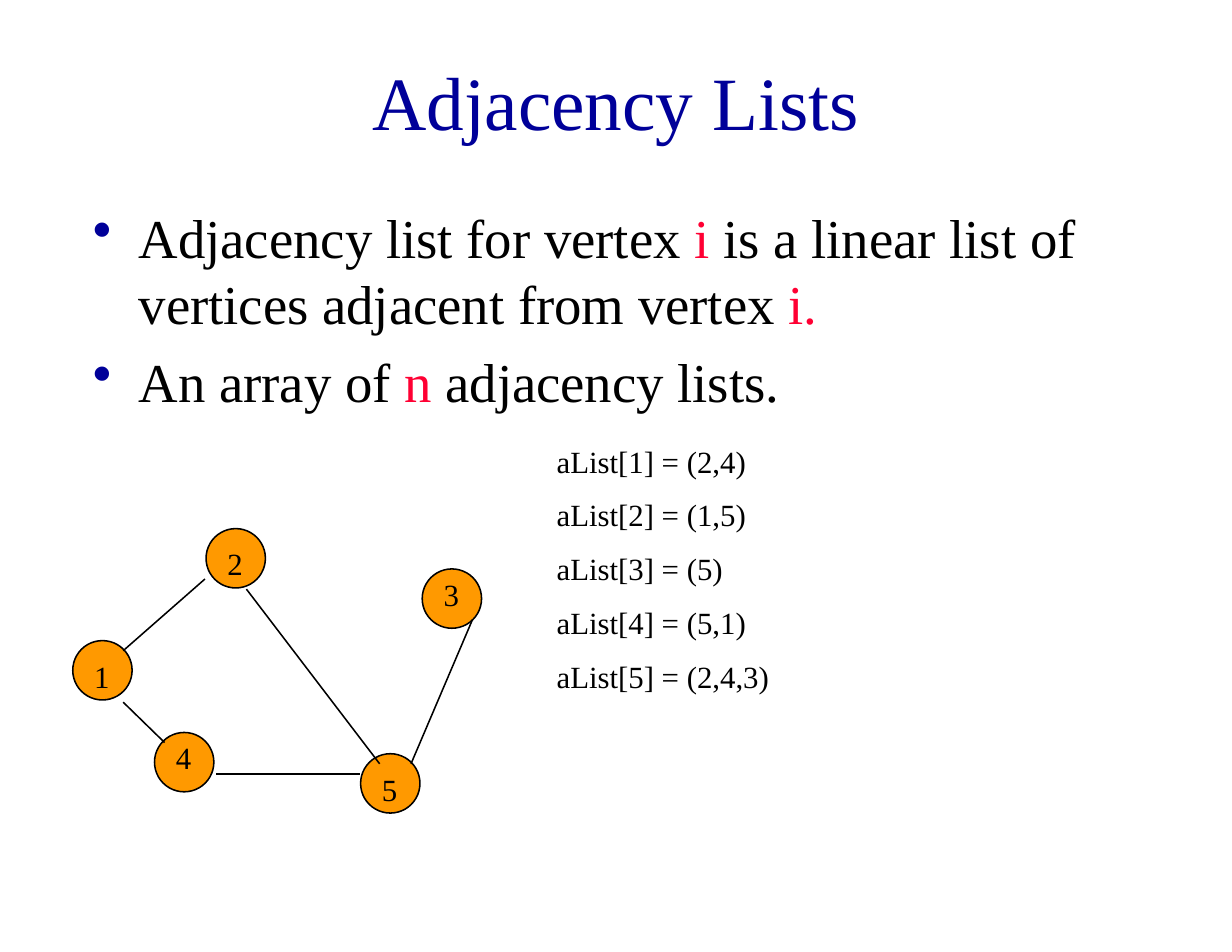
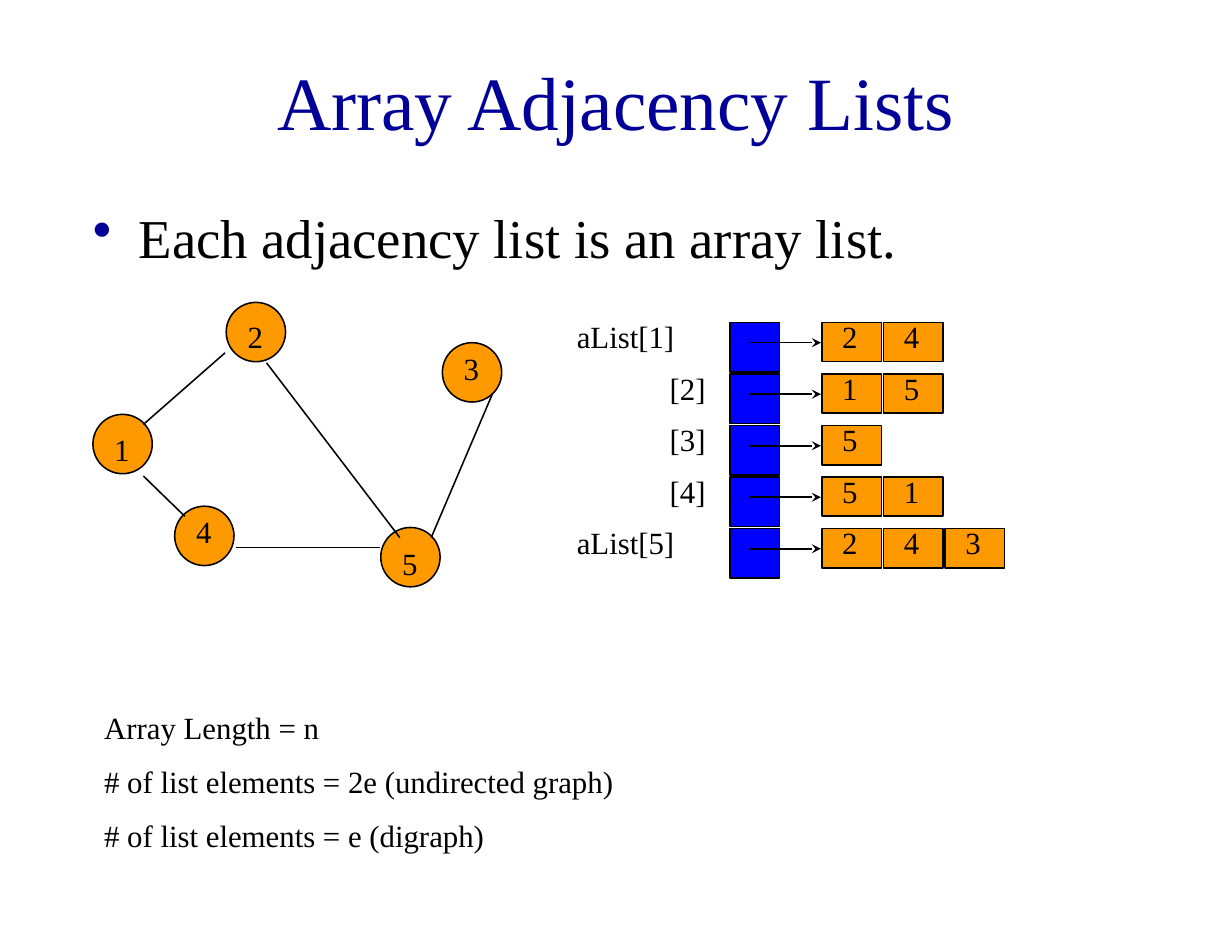
import pptx
import pptx.util
import pptx.dml.color
import pptx.enum.shapes
import pptx.enum.text
import pptx.oxml.ns
from lxml import etree

Inches, Pt = pptx.util.Inches, pptx.util.Pt
RGBColor = pptx.dml.color.RGBColor
SHAPE = pptx.enum.shapes.MSO_SHAPE
qn = pptx.oxml.ns.qn

NAVY = RGBColor(0x00, 0x00, 0x99)
BLACK = RGBColor(0x00, 0x00, 0x00)
RED = RGBColor(0xFF, 0x00, 0x33)
ORANGE = RGBColor(0xFF, 0x99, 0x00)
BLUE = RGBColor(0x00, 0x00, 0xFF)

FONT = "Times New Roman"
TITLE_PT, BULLET_PT, SMALL_PT = 48.4, 35.2, 19.8
TITLE_BOX = (0.82, 0.19, 9.35, 1.42)
BODY_BOX = (0.73, 1.77, 9.35, 0.64)
WIDE_INSET, NARROW_INSET = (0.11, 0.06), (0.1, 0.05)
HANGING = 0.41
LABEL_W, LABEL_H = 0.28, 0.44

# A paragraph is a list of (text, colour) runs.
DEFINITION = [
    [("Adjacency list for vertex", BLACK), (" i ", RED),
     ("is a linear list of vertices adjacent from vertex", BLACK), (" i.", RED)],
    [("An array of", BLACK), (" n ", RED), ("adjacency lists.", BLACK)],
]
ARRAY_LISTS = [[("Each adjacency list is an array list.", BLACK)]]
SIZES = ["Array Length = n",
         "# of list elements = 2e (undirected graph)",
         "# of list elements = e (digraph)"]
ADJACENT = {1: (2, 4), 2: (1, 5), 3: (5,), 4: (5, 1), 5: (2, 4, 3)}

# Graph geometry, relative to the graph's top left corner.
NODE_SIZE = 0.53
NODES = {  # number: (left, top, label drop)
    1: (0, 1.0, 0.09),
    2: (1.19, 0, 0.08),
    3: (3.12, 0.36, 0),
    4: (0.73, 1.82, 0),
    5: (2.57, 2.01, 0.09),
}
EDGES = [
    (1.18, 0.45, 0.45, 1.09),
    (1.55, 0.54, 2.74, 2.1),
    (0.45, 1.55, 0.82, 1.91),
    (3.57, 0.81, 3.02, 2.1),
    (1.28, 2.19, 2.56, 2.19),
]

# Array of lists
ARRAY_LEFT, ARRAY_TOP, SLOT_SIZE, ROW_PITCH = 6.52, 2.88, 0.44, 0.46
CELL_LEFT, CELL_W, CELL_H, CELL_PITCH = 7.34, 0.53, 0.35, 0.55
ARROW_FROM, ARROW_TO, ARROW_DROP = 6.69, 7.33, 0.18
LABEL_RISE = 0.1


def add_text(s, box, paragraphs, size=SMALL_PT, inset=WIDE_INSET,
             before=10.8, bullet=False, title=False):
    tf = s.shapes.add_textbox(*map(Inches, box)).text_frame
    dx, dy = map(Inches, inset)
    frame = {"word_wrap": True, "margin_left": dx, "margin_right": dx,
             "margin_top": dy, "margin_bottom": dy}
    if title:
        frame["vertical_anchor"] = pptx.enum.text.MSO_ANCHOR.MIDDLE
    for name, value in frame.items():
        setattr(tf, name, value)
    for i, runs in enumerate(paragraphs):
        p = tf.add_paragraph() if i else tf.paragraphs[0]
        if bullet:
            add_bullet(p)
        if title:
            p.alignment = pptx.enum.text.PP_ALIGN.CENTER
        if i:
            p.space_before = Pt(before)
        for text, color in runs:
            r = p.add_run()
            r.text = text
            r.font.name, r.font.size = FONT, Pt(size)
            r.font.color.rgb = color


def add_bullet(p):
    pPr = p._p.get_or_add_pPr()
    pPr.set("marL", str(Inches(HANGING)))
    pPr.set("indent", str(-Inches(HANGING)))
    color = etree.SubElement(pPr, qn("a:buClr"))
    etree.SubElement(color, qn("a:srgbClr"), val=str(NAVY))
    etree.SubElement(pPr, qn("a:buChar"), char="•")


def add_label(s, left, top, text, width=LABEL_W):
    add_text(s, (left, top, width, LABEL_H), [[(str(text), BLACK)]])


def add_lines(s, box, lines):
    add_text(s, box, [[(line, BLACK)] for line in lines])


def add_filled(s, kind, box, color):
    sp = s.shapes.add_shape(kind, *map(Inches, box))
    sp.shadow.inherit = False
    sp.fill.solid()
    sp.fill.fore_color.rgb = color
    sp.line.color.rgb = BLACK
    sp.line.width = Pt(1)


def add_line(s, ends, arrow=False):
    line = s.shapes.add_connector(
        pptx.enum.shapes.MSO_CONNECTOR.STRAIGHT, *map(Inches, ends))
    line.line.color.rgb = BLACK
    line.line.width = Pt(1)
    if arrow:
        etree.SubElement(line.line._get_or_add_ln(), qn("a:tailEnd"), type="stealth")
    etree.SubElement(line._element.spPr, qn("a:effectLst"))


def add_graph(s, left, top):
    for x, y, _ in NODES.values():
        add_filled(s, SHAPE.OVAL, (left + x, top + y, NODE_SIZE, NODE_SIZE), ORANGE)
    for x1, y1, x2, y2 in EDGES:
        add_line(s, (left + x1, top + y1, left + x2, top + y2))
    for number, (x, y, drop) in NODES.items():
        add_label(s, left + x + 0.08, top + y + drop, number)


def add_array(s):
    """Draw the array slots, each pointing at its row of list cells."""
    for i, (vertex, neighbours) in enumerate(ADJACENT.items()):
        top = ARRAY_TOP + i * ROW_PITCH
        label_top = top - LABEL_RISE
        add_filled(s, SHAPE.RECTANGLE, (ARRAY_LEFT, top, SLOT_SIZE, SLOT_SIZE), BLUE)
        if vertex in (1, len(ADJACENT)):
            add_label(s, 5.04, label_top, f"aList[{vertex}]", 1.65)
        else:
            add_label(s, 5.87, label_top, f"[{vertex}]", 0.73)
        for j, neighbour in enumerate(neighbours):
            left = CELL_LEFT + j * CELL_PITCH
            add_filled(s, SHAPE.RECTANGLE, (left, top, CELL_W, CELL_H), ORANGE)
            add_label(s, left + 0.07, label_top, neighbour)
        y = top + ARROW_DROP
        add_line(s, (ARROW_FROM, y, ARROW_TO, y), arrow=True)


def add_slide(prs, title, bullets):
    s = prs.slides.add_slide(prs.slide_layouts[6])
    add_text(s, TITLE_BOX, [[(title, NAVY)]], TITLE_PT, NARROW_INSET, title=True)
    add_text(s, BODY_BOX, bullets, BULLET_PT, NARROW_INSET, before=8, bullet=True)
    return s


def main():
    prs = pptx.Presentation()
    prs.slide_width, prs.slide_height = Inches(11), Inches(8.5)

    s = add_slide(prs, "Adjacency Lists", DEFINITION)
    add_graph(s, 0.65, 4.72)
    add_lines(s, (4.86, 3.89, 5.78, 2.44),
              [f"aList[{v}] = ({','.join(map(str, n))})" for v, n in ADJACENT.items()])

    s = add_slide(prs, "Array Adjacency Lists", ARRAY_LISTS)
    add_graph(s, 0.83, 2.7)
    add_array(s)
    add_lines(s, (0.82, 6.27, 10.08, 1.94), SIZES)

    prs.save("out.pptx")


if __name__ == "__main__":
    main()
